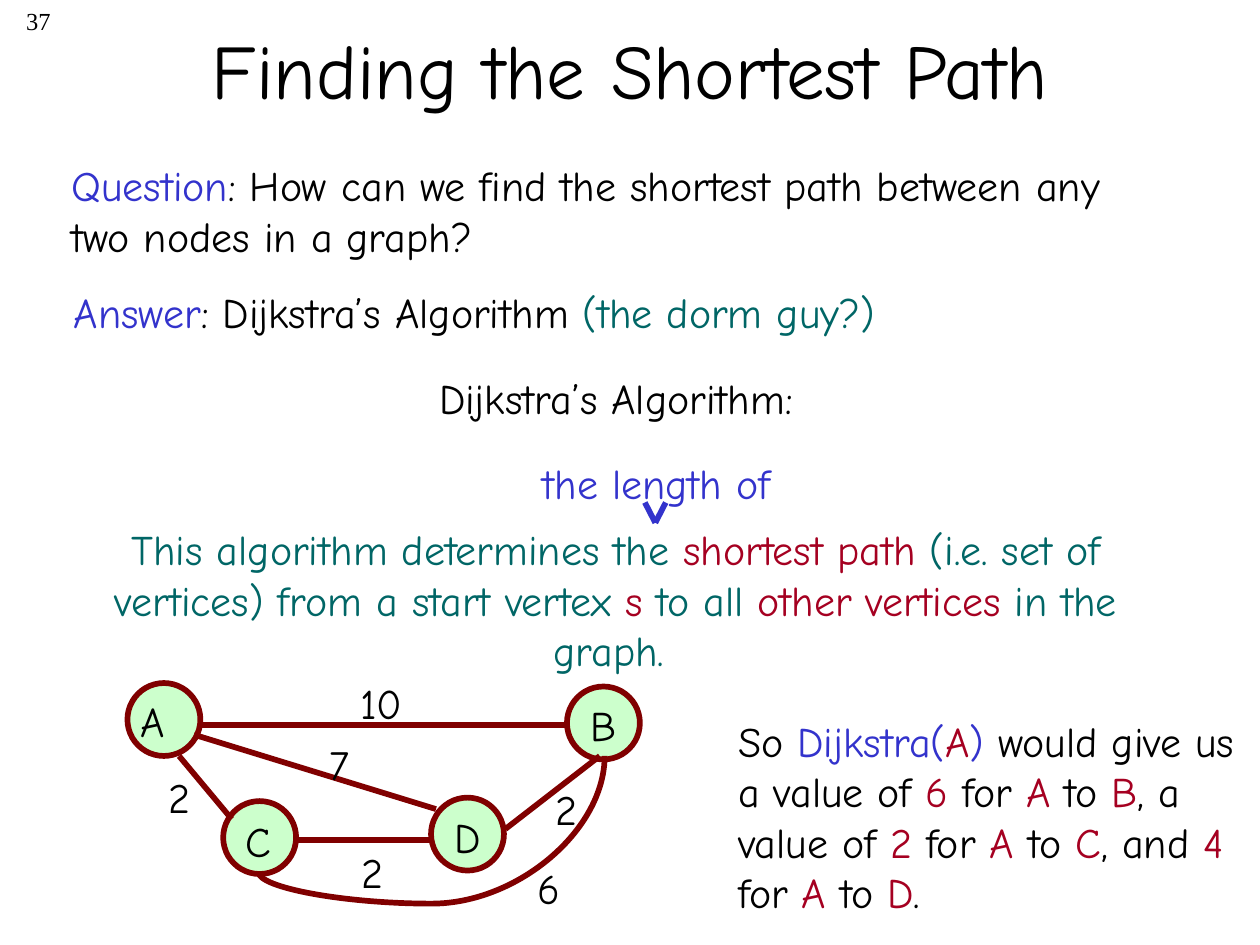
from dataclasses import dataclass
from typing import Any, NamedTuple

import pptx
import pptx.dml.color
import pptx.enum.shapes
import pptx.enum.text
import pptx.oxml
import pptx.oxml.ns
import pptx.util

Cm = pptx.util.Cm
Pt = pptx.util.Pt
RGB = pptx.dml.color.RGBColor
Align = pptx.enum.text.PP_ALIGN
Anchor = pptx.enum.text.MSO_ANCHOR
ConnectorType = pptx.enum.shapes.MSO_CONNECTOR


@dataclass(frozen=True)
class Theme:
    font: str = "Comic Neue"
    number_font: str = "Times New Roman"
    title_size: float = 44
    body_size: float = 24
    number_size: float = 14
    line_width: float = 3.25
    black: RGB = RGB(0x00, 0x00, 0x00)
    blue: RGB = RGB(0x33, 0x33, 0xCC)
    teal: RGB = RGB(0x00, 0x66, 0x66)
    red: RGB = RGB(0xA5, 0x00, 0x21)
    maroon: RGB = RGB(0x80, 0x00, 0x00)
    mint: RGB = RGB(0xCC, 0xFF, 0xCC)


THEME = Theme()
BLACK, BLUE, TEAL, RED = THEME.black, THEME.blue, THEME.teal, THEME.red
NODE_SIZE = 1.47
LABEL_HEIGHT = 1.27


class Box(NamedTuple):
    """Left, top, width and height in centimetres."""
    left: float
    top: float
    width: float
    height: float


class Piece(NamedTuple):
    text: str
    color: RGB = BLACK


class Node(NamedTuple):
    name: str
    left: float
    top: float
    label_left: float
    label_top: float


class Edge(NamedTuple):
    x1: float
    y1: float
    x2: float
    y2: float
    color: RGB = THEME.maroon


class Weight(NamedTuple):
    text: str
    left: float
    top: float


def apply_format(target: Any, values: dict[str, Any]) -> None:
    for name, value in values.items():
        setattr(target, name, value)


def add_text(slide: Any, box: Box, paragraphs: list[list[Piece]], *, size: float = THEME.body_size,
             font: str = THEME.font, align: Any = Align.LEFT, anchor: Any = Anchor.TOP,
             gap: float = 0) -> None:
    """Add a text box; gap is the space in points between its paragraphs."""
    frame = slide.shapes.add_textbox(*map(Cm, box)).text_frame
    apply_format(frame, {"word_wrap": True, "vertical_anchor": anchor})
    for index, pieces in enumerate(paragraphs):
        paragraph = frame.add_paragraph() if index else frame.paragraphs[0]
        apply_format(paragraph, {"alignment": align, "space_before": Pt(gap if index else 0)})
        for piece in pieces:
            run = paragraph.add_run()
            run.text = piece.text
            apply_format(run.font, {"name": font, "size": Pt(size)})
            run.font.color.rgb = piece.color


def style_line(line: Any, color: RGB) -> None:
    line.color.rgb = color
    line.width = Pt(THEME.line_width)


def add_edge(slide: Any, edge: Edge, kind: Any = ConnectorType.STRAIGHT) -> Any:
    ends = map(Cm, (edge.x1, edge.y1, edge.x2, edge.y2))
    connector = slide.shapes.add_connector(kind, *ends)
    style_line(connector.line, edge.color)
    connector._element.spPr.append(pptx.oxml.parse_xml(
        f'<a:effectLst {pptx.oxml.ns.nsdecls("a")}/>'))
    return connector


def add_hanging_curve(slide: Any, edge: Edge, bend: int) -> None:
    """Join two points from below: a flipped S-curve turned by 90 degrees."""
    center_x, center_y = (edge.x1 + edge.x2) / 2, (edge.y1 + edge.y2) / 2
    half_width, half_height = (edge.y1 - edge.y2) / 2, (edge.x2 - edge.x1) / 2
    turned = Edge(center_x + half_width, center_y + half_height,
                  center_x - half_width, center_y - half_height, edge.color)
    properties = add_edge(slide, turned, ConnectorType.CURVE)._element.spPr
    properties.find(pptx.oxml.ns.qn("a:xfrm")).set("rot", str(90 * 60000))
    geometry = properties.find(pptx.oxml.ns.qn("a:prstGeom"))
    for adjustments in geometry.findall(pptx.oxml.ns.qn("a:avLst")):
        geometry.remove(adjustments)
    geometry.append(pptx.oxml.parse_xml(
        f'<a:avLst {pptx.oxml.ns.nsdecls("a")}><a:gd name="adj1" fmla="val {bend}"/></a:avLst>'))


def add_label(slide: Any, text: str, left: float, top: float) -> None:
    width = 1.1 if len(text) == 1 else 1.5
    add_text(slide, Box(left, top, width, LABEL_HEIGHT), [[Piece(text)]])


def add_node(slide: Any, node: Node) -> None:
    shape = slide.shapes.add_shape(pptx.enum.shapes.MSO_SHAPE.OVAL, Cm(node.left), Cm(node.top),
                                   Cm(NODE_SIZE), Cm(NODE_SIZE))
    shape.shadow.inherit = False
    shape.fill.solid()
    shape.fill.fore_color.rgb = THEME.mint
    style_line(shape.line, THEME.maroon)
    add_label(slide, node.name, node.label_left, node.label_top)


NODES = [Node("C", 4.5, 16.15, 4.7, 16.31), Node("B", 11.43, 13.84, 11.66, 13.97),
         Node("A", 2.57, 13.77, 2.59, 13.89), Node("D", 8.69, 16.08, 8.92, 16.23)]
EDGES = [Edge(4.04, 14.61, 11.46, 14.61), Edge(3.61, 15.24, 4.67, 16.51),
         Edge(5.94, 16.94, 8.69, 16.94), Edge(10.19, 16.71, 12.09, 15.24),
         Edge(3.91, 14.81, 8.79, 16.31)]
CARET = [Edge(x, 10.13, 13.21, 10.54, BLUE) for x in (13.0, 13.42)]
WEIGHTS = [Weight("10", 7.01, 13.54), Weight("2", 3.15, 15.42), Weight("2", 7.04, 16.94),
           Weight("2", 10.95, 15.67), Weight("7", 6.4, 14.76), Weight("6", 10.59, 17.27)]

QUESTION = [Piece("Question", BLUE),
            Piece(": How can we find the shortest path between any two nodes in a graph?")]
ANSWER = [Piece("Answer", BLUE), Piece(": Dijkstra’s Algorithm "), Piece("(the dorm guy?)", TEAL)]
DEFINITION = [Piece("This algorithm determines the ", TEAL), Piece("shortest path", RED),
              Piece(" (i.e. set of vertices) from a start vertex ", TEAL), Piece("s", RED),
              Piece(" to all ", TEAL), Piece("other vertices", RED), Piece(" in the graph. ", TEAL)]
RESULT = [Piece("So "), Piece("Dijkstra(", BLUE), Piece("A", RED), Piece(")", BLUE),
          Piece(" would give us a value of "), Piece("6", RED), Piece(" for "), Piece("A", RED),
          Piece(" to "), Piece("B", RED), Piece(", a value of "), Piece("2 ", RED), Piece("for "),
          Piece("A", RED), Piece(" to "), Piece("C", RED), Piece(", and "), Piece("4", RED),
          Piece(" for "), Piece("A", RED), Piece(" to "), Piece("D", RED), Piece(".")]


def main() -> None:
    presentation = pptx.Presentation()
    apply_format(presentation, {"slide_width": Cm(25.4), "slide_height": Cm(19.05)})
    slide = presentation.slides.add_slide(presentation.slide_layouts[6])

    # Slide number and title
    add_text(slide, Box(0, 0, 1.27, 1.27), [[Piece("37")]], size=THEME.number_size,
             font=THEME.number_font, align=Align.RIGHT)
    add_text(slide, Box(1.9, 0, 21.6, 2.77), [[Piece("Finding the Shortest Path")]],
             size=THEME.title_size, align=Align.CENTER, anchor=Anchor.MIDDLE)

    # Question, answer and definition
    add_text(slide, Box(1.19, 3.1, 22.5, 2.29), [QUESTION])
    add_text(slide, Box(1.24, 5.66, 22.5, 1.27), [ANSWER])
    add_text(slide, Box(1.85, 7.39, 21.13, 6.35), [[Piece("Dijkstra’s Algorithm:")], DEFINITION],
             align=Align.CENTER, gap=57.5)
    add_text(slide, Box(14.63, 14.3, 10.77, 4.32), [RESULT])

    # Inserted words with their caret
    add_text(slide, Box(10.69, 9.09, 5.97, 1.27), [[Piece("the length of", BLUE)]])
    for stroke in CARET:
        add_edge(slide, stroke)

    # Weighted graph
    for node in NODES:
        add_node(slide, node)
    for edge in EDGES:
        add_edge(slide, edge)
    add_hanging_curve(slide, Edge(5.21, 17.58, 12.19, 15.24), bend=-27300)
    for weight in WEIGHTS:
        add_label(slide, *weight)

    presentation.save("out.pptx")


if __name__ == "__main__":
    main()
